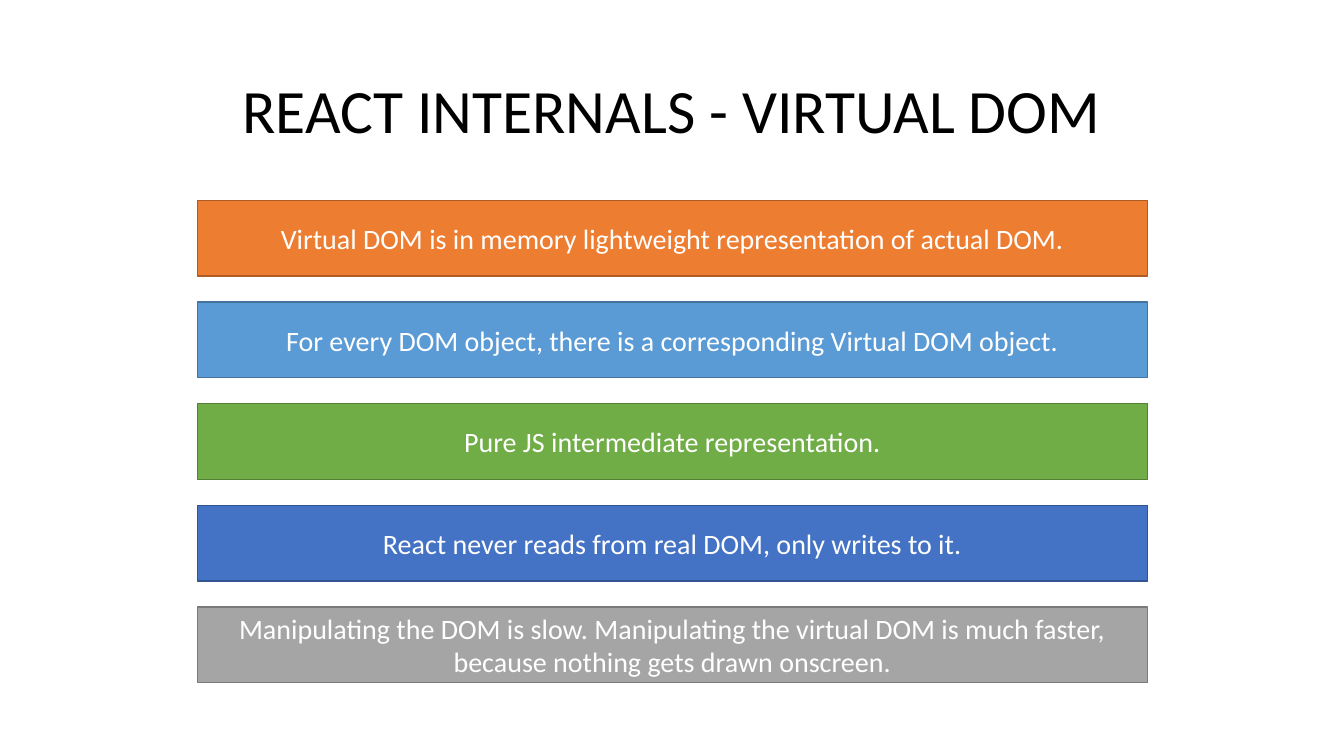
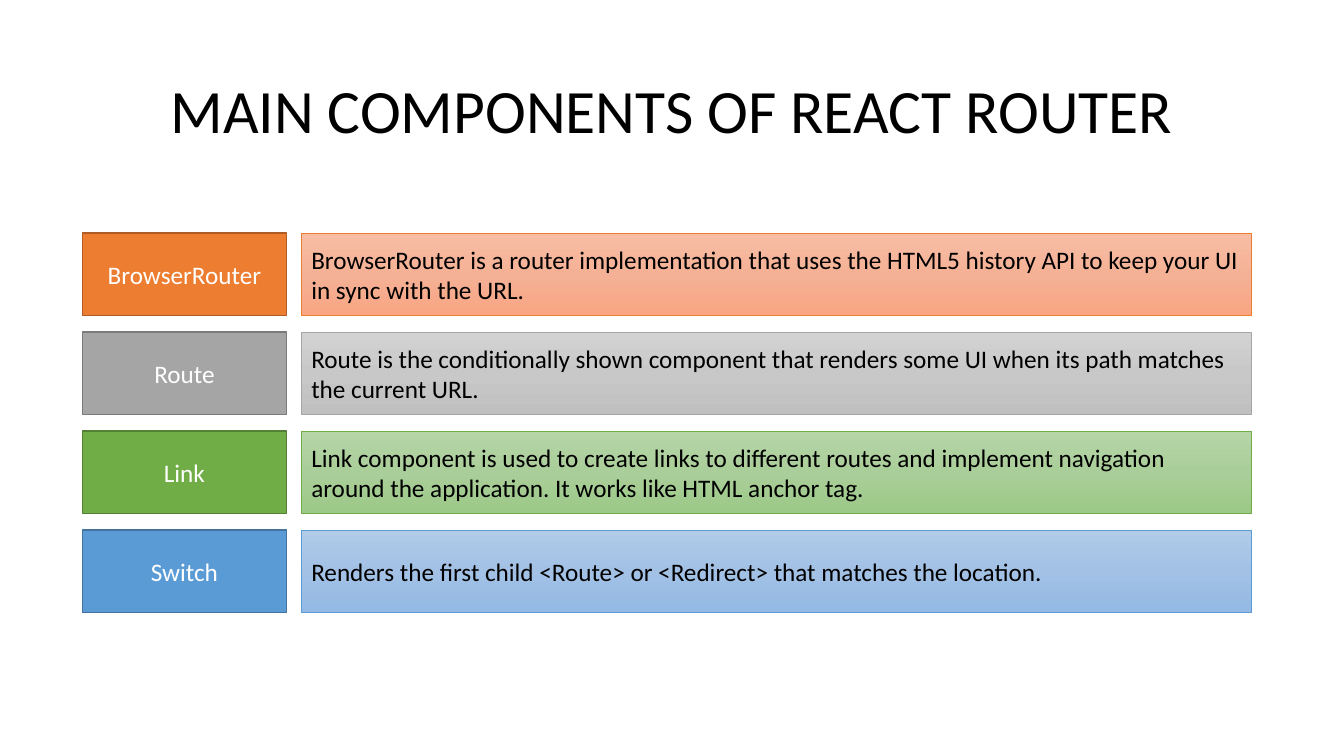
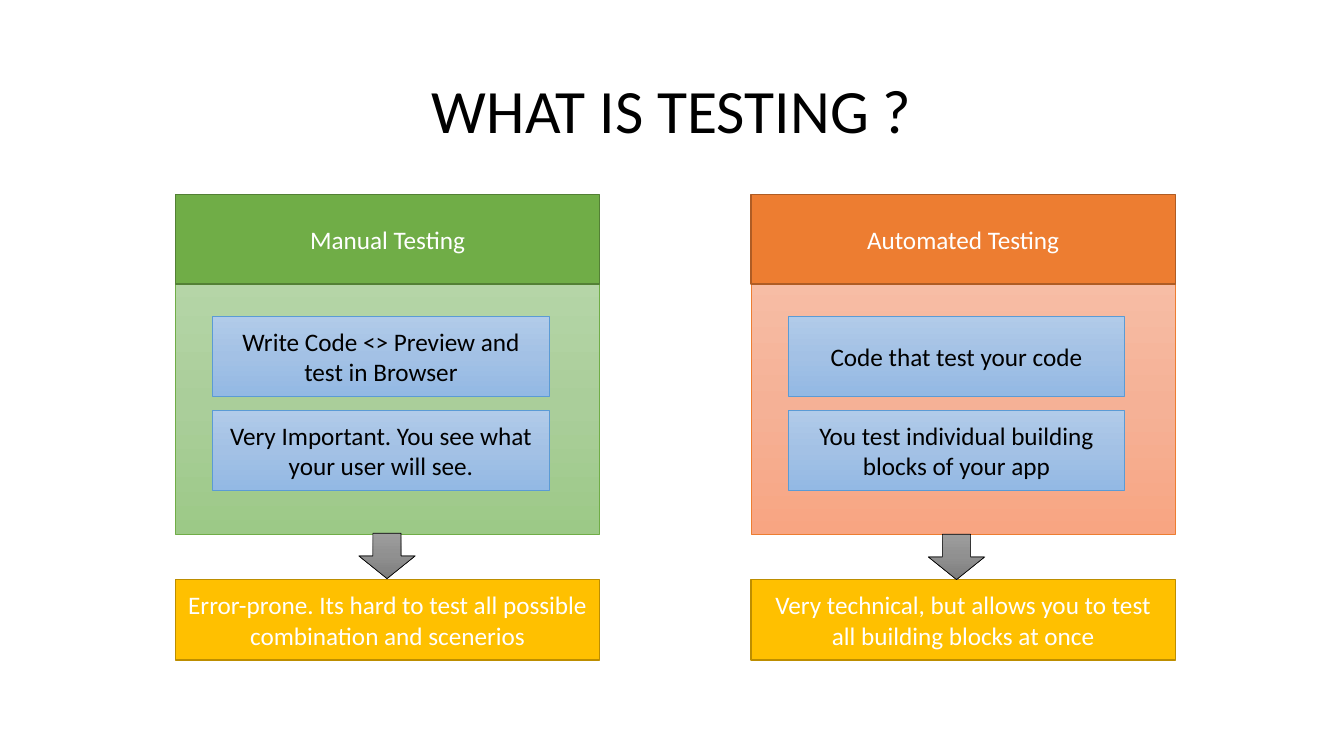
"""Build three slides on the virtual DOM, routing components and testing."""
import copy

import pptx
import pptx.dml.color
import pptx.enum.shapes
import pptx.enum.text
import pptx.util

Pt = pptx.util.Pt
RGB = pptx.dml.color.RGBColor.from_string
SHAPE = pptx.enum.shapes.MSO_SHAPE
ALIGN = pptx.enum.text.PP_ALIGN
MIDDLE = pptx.enum.text.MSO_ANCHOR.MIDDLE

FONT = "Calibri"
COLORS = {"black": "000000", "white": "FFFFFF"}
SOLIDS = {
    "orange": ("ED7D31", "AF5C24"),
    "blue": ("5B9BD5", "43739E"),
    "green": ("70AD47", "538035"),
    "indigo": ("4472C4", "325491"),
    "gray": ("A5A5A5", "7A7A7A"),
    "gold": ("FFC000", "BD8E00"),
}
GRADIENTS = {
    "orange": (("F7BDA5", "F5B196", "F8A582"), "ED7D31"),
    "gray": (("D2D2D2", "C8C8C8", "C0C0C0"), "A5A5A5"),
    "green": (("B5D5A7", "AACE9A", "9CC987"), "70AD47"),
    "blue": (("B1CBE9", "A3C1E5", "93B9E4"), "5B9BD5"),
    "arrow": (("9D9D9D", "909090", "7C7C7C"), "000000"),
}

FACTS = [
    ("orange", "Virtual DOM is in memory lightweight representation of actual DOM."),
    ("blue", "For every DOM object, there is a corresponding Virtual DOM object."),
    ("green", "Pure JS intermediate representation."),
    ("indigo", "React never reads from real DOM, only writes to it."),
    ("gray", "Manipulating the DOM is slow. Manipulating the virtual DOM is much "
             "faster, because nothing gets drawn onscreen."),
]
COMPONENTS = [
    ("orange", "BrowserRouter", "BrowserRouter is a router implementation that uses the "
     "HTML5 history API to keep your UI in sync with the URL."),
    ("gray", "Route", "Route is the conditionally shown component that renders some UI "
     "when its path matches the current URL."),
    ("green", "Link", "Link component is used to create links to different routes and "
     "implement navigation around the application. It works like HTML\u00a0anchor tag."),
    ("blue", "Switch", "Renders the first child <Route> or <Redirect> that matches the "
     "location."),
]
TESTING = [
    ("green", "Manual Testing",
     ["Write Code <> Preview and test in Browser",
      "Very Important. You see what your user will see."],
     "Error-prone. Its hard to test all possible combination and scenerios",
     (256.3, 380.9)),
    ("orange", "Automated Testing",
     ["Code that test your code", "You test individual building blocks of your app"],
     "Very technical, but allows you to test all building blocks at once",
     (663.1, 381.6)),
]


def write(tf, text, size, color, align=ALIGN.CENTER):
    """Set one formatted paragraph in a text frame."""
    tf.vertical_anchor = MIDDLE
    tf.word_wrap = True
    p = tf.paragraphs[0]
    p.alignment = align
    r = p.add_run()
    r.text = text
    for name, value in {"name": FONT, "size": Pt(size)}.items():
        setattr(r.font, name, value)
    r.font.color.rgb = RGB(COLORS[color])
    return p


def add_slide(prs, title):
    """Add a slide with the shared title style."""
    s = prs.slides.add_slide(prs.slide_layouts[5])
    sp = s.shapes.title
    for name, value in {"left": 66, "top": 28.8, "width": 828, "height": 104.4}.items():
        setattr(sp, name, Pt(value))
    write(sp.text_frame, title, 44, "black").line_spacing = 0.9
    return s


def add_box(s, box, line, weight, kind=SHAPE.RECTANGLE):
    """Add an outlined preset shape without shadow."""
    sp = s.shapes.add_shape(kind, *map(Pt, box))
    sp.shadow.inherit = False
    sp.line.color.rgb = RGB(line)
    sp.line.width = Pt(weight)
    return sp


def solid_box(s, box, color, text, size=18):
    """Add a solid box with white centred text."""
    fill, line = SOLIDS[color]
    sp = add_box(s, box, line, 1)
    sp.fill.solid()
    sp.fill.fore_color.rgb = RGB(fill)
    write(sp.text_frame, text, size, "white")


def gradient_box(s, box, color, text="", align=ALIGN.CENTER, kind=SHAPE.RECTANGLE):
    """Add a shape with a three-stop downward gradient and black text."""
    shades, line = GRADIENTS[color]
    sp = add_box(s, box, line, 0.5, kind)
    sp.fill.gradient()
    sp.fill.gradient_angle = 270
    stops = sp._element.xpath(".//a:gsLst")[0]
    stops.insert(1, copy.deepcopy(stops[0]))
    for i, (stop, shade) in enumerate(zip(sp.fill.gradient_stops, shades)):
        stop.position = i / 2
        stop.color.rgb = RGB(shade)
    if text:
        write(sp.text_frame, text, 18, "black", align)


def virtual_dom(prs):
    """Build the slide with a stack of facts."""
    s = add_slide(prs, "REACT INTERNALS - VIRTUAL DOM")
    for i, (color, text) in enumerate(FACTS):
        solid_box(s, (141, 143.2 + 72.6 * i, 678.5, 54), color, text, 20)


def router(prs):
    """Build the slide with component names and descriptions."""
    s = add_slide(prs, "MAIN COMPONENTS OF REACT ROUTER")
    for i, (color, name, text) in enumerate(COMPONENTS):
        top = 166.5 + 70.7 * i
        gradient_box(s, (215.3, top, 678.5, 59), color, text, ALIGN.LEFT)
        solid_box(s, (59, top, 145.5, 59), color, name)


def testing(prs):
    """Build the slide that compares two kinds of testing."""
    s = add_slide(prs, "WHAT IS TESTING ?")
    for i, (color, name, notes, result, arrow) in enumerate(TESTING):
        left = 125.3 + 411.1 * i
        gradient_box(s, (left, 199.4, 303.1, 182.2), color)
        solid_box(s, (left, 139, 303.1, 64), color, name)
        for j, note in enumerate(notes):
            gradient_box(s, (left + 26.6, 226.1 + 67 * j, 240.5, 57), "blue", note)
        solid_box(s, (left, 414, 303.1, 57.6), "gold", result)
        gradient_box(s, (*arrow, 40.3, 32.4), "arrow", kind=SHAPE.DOWN_ARROW)


def main():
    """Build and save the presentation."""
    prs = pptx.Presentation()
    prs.slide_width, prs.slide_height = Pt(960), Pt(540)
    virtual_dom(prs)
    router(prs)
    testing(prs)
    prs.save("out.pptx")


main()
